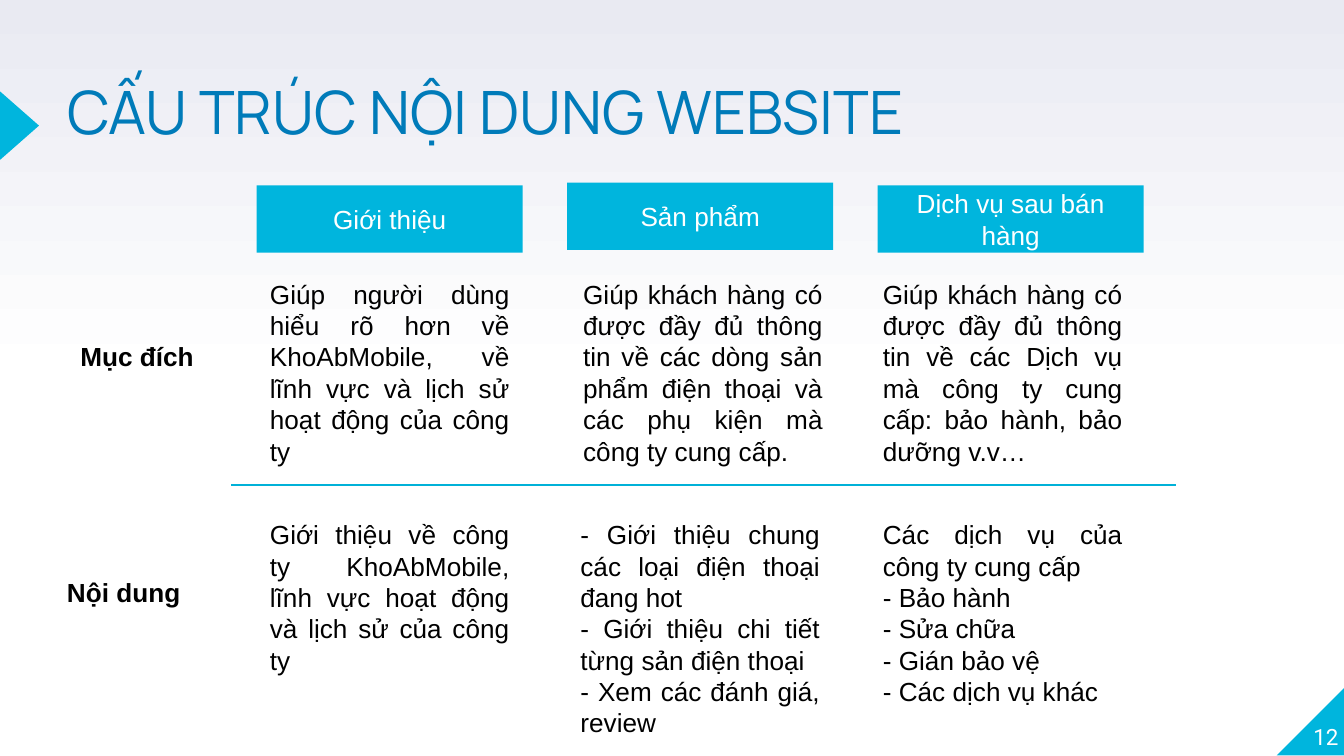
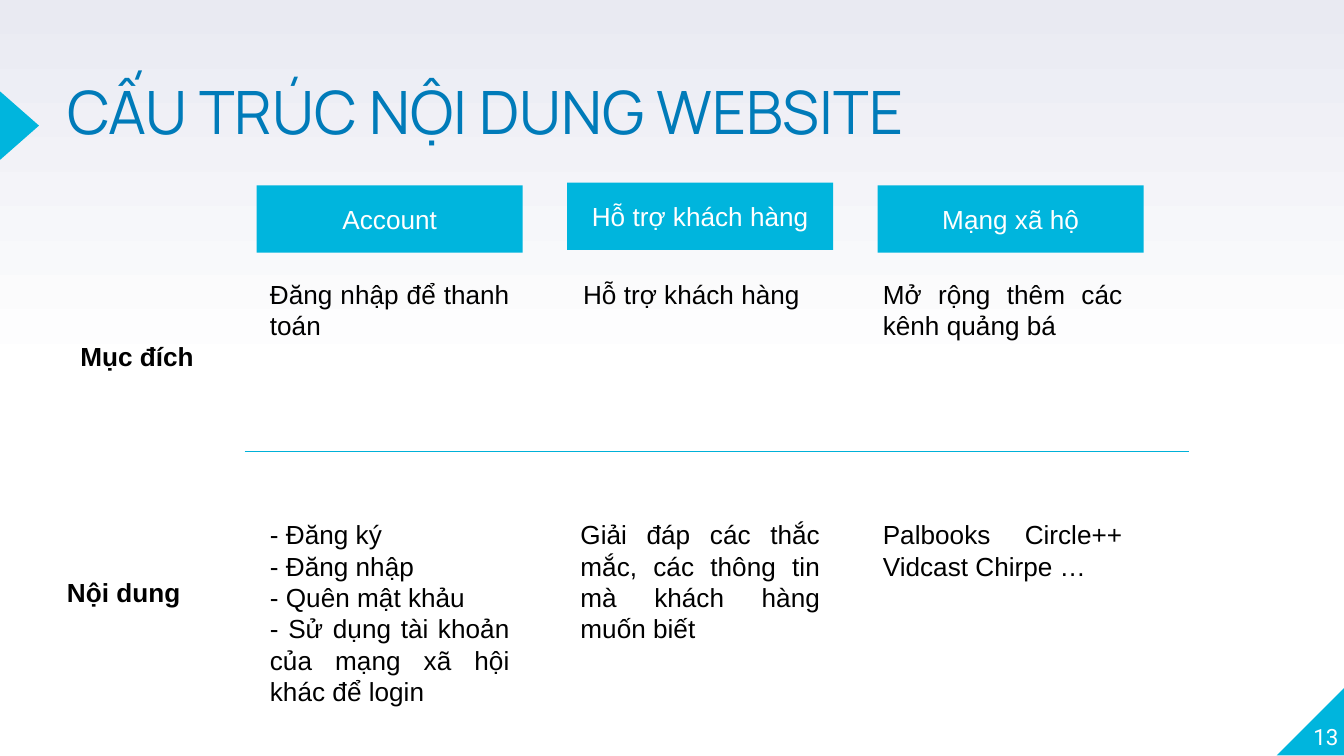
import copy

import lxml.etree
import pptx
import pptx.dml.color
import pptx.enum.shapes
import pptx.enum.text
import pptx.oxml.ns
import pptx.util
from pptx.util import Inches

COLORS = {
    "accent": "00B5DD",
    "divider": "00B1D8",
    "title": "007BB9",
    "text": "000000",
    "white": "FFFFFF",
    "haze": "E9EAF2",
}
TITLE = "CẤU TRÚC NỘI DUNG WEBSITE"
ALIGN = pptx.enum.text.PP_ALIGN
ANCHOR = pptx.enum.text.MSO_ANCHOR
AUTO_SIZE = pptx.enum.text.MSO_AUTO_SIZE
SHAPE = pptx.enum.shapes.MSO_SHAPE

# Column grid: left and top of each header, left of each text per row
COLUMN_WIDTH = 1.98
HEADERS = [(1.91, 1.38), (4.22, 1.36), (6.53, 1.38)]
PURPOSE_TOP, PURPOSE_LEFTS = 2.02, [1.91, 4.24, 6.47]
CONTENT_TOP, CONTENT_LEFTS = 3.81, [1.91, 4.22, 6.47]
DIVIDER_LENGTH = 7.03

# Each text is a number of set lines and its paragraphs
SLIDES = [
    {
        "number": "12",
        "divider": (1.72, 3.61),
        "headers": ["Giới thiệu", "Sản phẩm", "Dịch vụ sau bán hàng"],
        "purposes": [
            (6, ["Giúp người dùng hiểu rõ hơn về KhoAbMobile, về lĩnh vực và "
                 "lịch sử hoạt động của công ty"]),
            (6, ["Giúp khách hàng có được đầy đủ thông tin về các dòng sản phẩm "
                 "điện thoại và các phụ kiện mà công ty cung cấp."]),
            (6, ["Giúp khách hàng có được đầy đủ thông tin về các Dịch vụ mà "
                 "công ty cung cấp: bảo hành, bảo dưỡng v.v…"]),
        ],
        "contents": [
            (4, ["Giới thiệu về công ty KhoAbMobile, lĩnh vực hoạt động và "
                 "lịch sử của công ty"]),
            (7, ["- Giới thiệu chung các loại điện thoại đang hot",
                 "- Giới thiệu chi tiết từng sản điện thoại",
                 "- Xem các đánh giá, review"]),
            (6, ["Các dịch vụ của công ty cung cấp", "- Bảo hành", "- Sửa chữa",
                 "- Gián bảo vệ", "- Các dịch vụ khác"]),
        ],
    },
    {
        "number": "13",
        "divider": (1.82, 3.36),
        "headers": ["Account", "Hỗ trợ khách hàng", "Mạng xã hộ"],
        "purposes": [
            (2, ["Đăng nhập để thanh toán"]),
            (1, ["Hỗ trợ khách hàng"]),
            (2, ["Mở rộng thêm các kênh quảng bá"]),
        ],
        "contents": [
            (6, ["- Đăng ký", "- Đăng nhập", "- Quên mật khảu",
                 "- Sử dụng tài khoản của mạng xã hội khác để login"]),
            (4, ["Giải đáp các thắc mắc, các thông tin mà khách hàng muốn biết"]),
            (2, ["Palbooks Circle++ Vidcast Chirpe …"]),
        ],
    },
]


def rgb(name):
    return pptx.dml.color.RGBColor.from_string(COLORS[name])


def text_height(lines):
    return 0.1 + 0.235 * lines


def write(frame, paragraphs, size=14, font="Arial", color="text",
          bold=False, align=ALIGN.LEFT):
    frame.word_wrap = True
    frame.text = "\n".join(paragraphs)
    for paragraph in frame.paragraphs:
        paragraph.alignment = align
        paragraph.font.size = pptx.util.Pt(size)
        paragraph.font.name = font
        paragraph.font.bold = bold
        paragraph.font.color.rgb = rgb(color)


def remove_insets(frame):
    frame.margin_left = frame.margin_right = 0
    frame.margin_top = frame.margin_bottom = 0


def set_background(master):
    fill = master.background.fill
    fill.gradient()
    fill.gradient_angle = 90
    for stop, position, color in zip(fill.gradient_stops, (0.5, 1), ("white", "haze")):
        stop.position = position
        stop.color.rgb = rgb(color)
    # A third stop keeps the lower half white
    stop_list = master.element.cSld.find(".//" + pptx.oxml.ns.qn("a:gsLst"))
    first_stop = copy.deepcopy(stop_list[0])
    first_stop.set("pos", "0")
    stop_list.insert(0, first_stop)


def add_block(slide, kind, left, top, width, height):
    shape = slide.shapes.add_shape(
        kind, Inches(left), Inches(top), Inches(width), Inches(height))
    shape.shadow.inherit = False
    shape.fill.solid()
    shape.fill.fore_color.rgb = rgb("accent")
    shape.line.fill.background()
    return shape


def add_text(slide, left, top, width, lines, paragraphs, **style):
    box = slide.shapes.add_textbox(
        Inches(left), Inches(top), Inches(width), Inches(text_height(lines)))
    write(box.text_frame, paragraphs, **style)
    box.text_frame.auto_size = AUTO_SIZE.SHAPE_TO_FIT_TEXT


def add_header(slide, left, top, text):
    header = add_block(slide, SHAPE.RECTANGLE, left, top, COLUMN_WIDTH, 0.5)
    header.text_frame.vertical_anchor = ANCHOR.MIDDLE
    write(header.text_frame, [text], color="white", align=ALIGN.CENTER)


def add_divider(slide, left, top):
    line = slide.shapes.add_connector(
        pptx.enum.shapes.MSO_CONNECTOR.STRAIGHT, Inches(left), Inches(top),
        Inches(left + DIVIDER_LENGTH), Inches(top))
    line.line.color.rgb = rgb("divider")
    line.line.width = pptx.util.Pt(0.75)
    lxml.etree.SubElement(line.element.spPr, pptx.oxml.ns.qn("a:effectLst"))


def add_frame(slide, number):
    # Corner and title marker
    corner = add_block(slide, SHAPE.RIGHT_TRIANGLE, 9.5, 5.11, 0.51, 0.51)
    corner.element.spPr.xfrm.set("flipH", "1")
    marker = add_block(slide, SHAPE.ISOSCELES_TRIANGLE, -0.11, 0.79, 0.51, 0.29)
    marker.rotation = 90

    # Title
    title = slide.shapes.title
    title.left, title.top = Inches(0.5), Inches(0.66)
    title.width, title.height = Inches(7.76), Inches(1.18)
    frame = title.text_frame
    write(frame, [TITLE], size=32, font="Manrope", color="title")
    frame.paragraphs[0].line_spacing = 0.8
    frame.vertical_anchor = ANCHOR.TOP
    frame.auto_size = AUTO_SIZE.NONE
    remove_insets(frame)

    # Slide number
    box = slide.shapes.add_textbox(
        Inches(9.46), Inches(5.07), Inches(0.5), Inches(0.51))
    write(box.text_frame, [number], size=12, font="Roboto", color="white",
          align=ALIGN.RIGHT)
    box.text_frame.vertical_anchor = ANCHOR.BOTTOM
    remove_insets(box.text_frame)


def add_text_row(slide, lefts, top, cells):
    for left, (lines, paragraphs) in zip(lefts, cells):
        add_text(slide, left, top, COLUMN_WIDTH, lines, paragraphs,
                 align=ALIGN.JUSTIFY)


def build_slide(presentation, content):
    slide = presentation.slides.add_slide(presentation.slide_layouts[5])
    add_frame(slide, content["number"])

    # Row labels
    add_text(slide, 0.4, 4.24, 1.32, 1, ["Nội dung"], bold=True)
    add_text(slide, 0.5, 2.48, 1.32, 1, ["Mục đích"], bold=True)

    # Column headers and texts
    for (left, top), text in zip(HEADERS, content["headers"]):
        add_header(slide, left, top, text)
    add_divider(slide, *content["divider"])
    add_text_row(slide, PURPOSE_LEFTS, PURPOSE_TOP, content["purposes"])
    add_text_row(slide, CONTENT_LEFTS, CONTENT_TOP, content["contents"])


def main():
    presentation = pptx.Presentation()
    presentation.slide_width = Inches(10)
    presentation.slide_height = Inches(5.625)
    set_background(presentation.slide_master)
    for content in SLIDES:
        build_slide(presentation, content)
    presentation.save("out.pptx")


if __name__ == "__main__":
    main()
